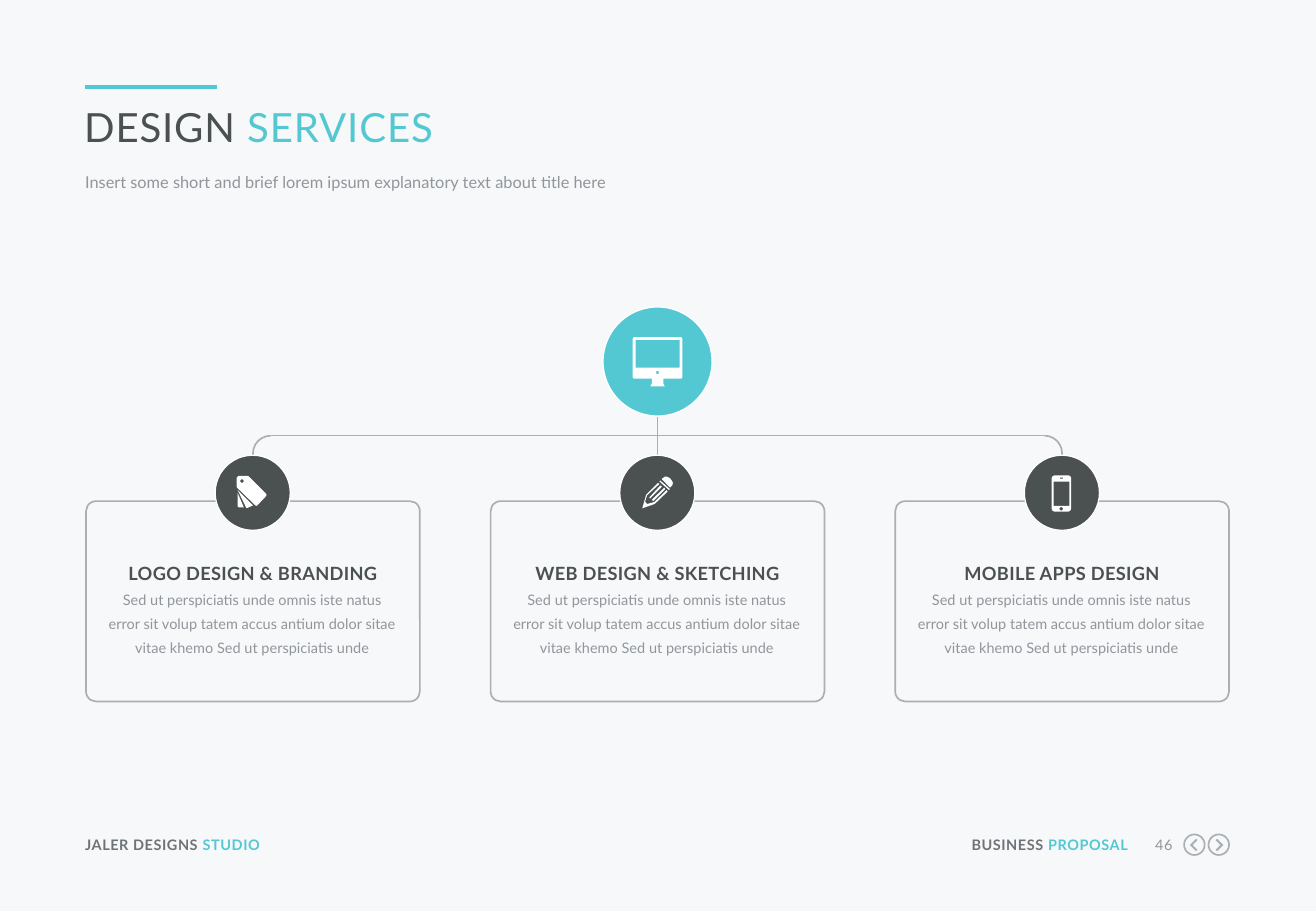
from math import cos, pi, sin

from lxml import etree
from pptx import Presentation
from pptx.dml.color import RGBColor
from pptx.enum.shapes import MSO_CONNECTOR, MSO_SHAPE
from pptx.enum.text import MSO_ANCHOR, MSO_AUTO_SIZE, PP_ALIGN
from pptx.oxml.ns import qn
from pptx.util import Cm, Pt

STRAIGHT = MSO_CONNECTOR.STRAIGHT
ARC, OVAL, ROUNDED = MSO_SHAPE.ARC, MSO_SHAPE.OVAL, MSO_SHAPE.ROUNDED_RECTANGLE
LEFT, CENTER, RIGHT = PP_ALIGN.LEFT, PP_ALIGN.CENTER, PP_ALIGN.RIGHT
TOP, NO_RESIZE = MSO_ANCHOR.TOP, MSO_AUTO_SIZE.NONE

TEAL, DARK, WHITE, PAPER = "53C8D2", "4B5050", "FFFFFF", "F6F8FA"
RULE, BODY, FOOTER = "AAAFB4", "91969B", "6E7378"
MIDDLE, MARGIN, PITCH = 13.75, 1.78, 8.46
CARD_WIDTH, CARD_TOP = 6.98, 10.48
RAIL_TOP, ARC_SIZE = 9.11, 0.74


def paint(shape, fill=None, line=None, width=1):
    """Set fill and line from hex colours, None for neither, and drop the shadow."""
    if line:
        shape.line.color.rgb = RGBColor.from_string(line)
        shape.line.width = Pt(width)
    else:
        shape.line.fill.background()
    if hasattr(shape, "fill"):
        shape.shadow.inherit = False
        if fill:
            shape.fill.solid()
            shape.fill.fore_color.rgb = RGBColor.from_string(fill)
        else:
            shape.fill.background()
    else:
        etree.SubElement(shape._element.spPr, qn("a:effectLst"))


def write(box, spans, size, bold=False, spacing=0, **para_format):
    """Fill a box with one paragraph of (text, hex colour) spans."""
    frame_format = {"margin_left": 0, "margin_top": 0, "margin_right": 0,
                    "margin_bottom": 0, "word_wrap": True,
                    "auto_size": NO_RESIZE, "vertical_anchor": TOP}
    for name, value in frame_format.items():
        setattr(box.text_frame, name, value)
    para = box.text_frame.paragraphs[0]
    for name, value in para_format.items():
        setattr(para, name, value)
    for text, colour in spans:
        span = para.add_run()
        span.text = text
        for name, value in {"name": "Lato", "size": Pt(size), "bold": bold}.items():
            setattr(span.font, name, value)
        span.font.color.rgb = RGBColor.from_string(colour)
        span._r.get_or_add_rPr().set("spc", str(round(spacing * 100)))


deck = Presentation()
deck.slide_width, deck.slide_height = Pt(780), Pt(540)
page = deck.slides.add_slide(deck.slide_layouts[5])
page.background.fill.solid()
page.background.fill.fore_color.rgb = RGBColor.from_string(PAPER)
shapes = page.shapes

# Heading
title = shapes.title
title_place = {"left": MARGIN - 0.02, "top": 2.13, "width": 23.93, "height": 1.04}
for name, value in title_place.items():
    setattr(title, name, Cm(value))
write(title, [("DESIGN", DARK), (" SERVICES", TEAL)], 23.8, spacing=0.55, alignment=LEFT)
subtitle = shapes.add_textbox(Cm(MARGIN), Cm(3.55), Cm(23.93), Cm(0.53))
write(subtitle,
      [("Insert some short and brief lorem ipsum explanatory text about title here", BODY)],
      9.7, line_spacing=Pt(13))

# Title rule, tree rail and its drops
lines = [
    (MARGIN, 1.82, 4.54, 1.82, TEAL, 2.25),
    (MIDDLE, 8.72, MIDDLE, 9.53, RULE, 1),
]
for side, turn in ((-1, 270), (1, 0)):
    end = MIDDLE + side * PITCH
    bend = end - side * ARC_SIZE / 2
    lines.append((MIDDLE, RAIL_TOP, bend, RAIL_TOP, RULE, 1))
    lines.append((end, RAIL_TOP + ARC_SIZE / 2, end, 9.63, RULE, 1))
    corner = shapes.add_shape(ARC, Cm(bend - ARC_SIZE / 2), Cm(RAIL_TOP),
                              Cm(ARC_SIZE), Cm(ARC_SIZE))
    corner.rotation = turn
    paint(corner, line=RULE)
for x1, y1, x2, y2, colour, width in lines:
    connector = shapes.add_connector(STRAIGHT, Cm(x1), Cm(y1), Cm(x2), Cm(y2))
    paint(connector, line=colour, width=width)

# Service cards
description = ("Sed ut perspiciatis unde omnis iste natus error sit volup tatem accus "
               "antium dolor sitae vitae khemo Sed ut perspiciatis unde")
services = ["LOGO DESIGN & BRANDING", "WEB DESIGN & SKETCHING", "MOBILE APPS DESIGN"]
for index, service in enumerate(services):
    center = MIDDLE + (index - 1) * PITCH
    card = shapes.add_shape(ROUNDED, Cm(center - CARD_WIDTH / 2), Cm(CARD_TOP),
                            Cm(CARD_WIDTH), Cm(4.19))
    card.adjustments[0] = 0.05
    paint(card, line=RULE)
    heading = shapes.add_textbox(Cm(center - 3.06), Cm(11.56), Cm(6.12), Cm(0.64))
    write(heading, [(service, DARK)], 10.8, bold=True, spacing=0.2,
          alignment=CENTER, line_spacing=Pt(18.4))
    details = shapes.add_textbox(Cm(center - 3.06), Cm(12.23), Cm(6.1), Cm(1.5))
    write(details, [(description, BODY)], 8.6, alignment=CENTER, line_spacing=Pt(14.1))

# Footer
footers = [
    (MARGIN, 5.36, LEFT, True, [("JALER DESIGNS ", FOOTER), ("STUDIO", TEAL)]),
    (20.11, 3.48, RIGHT, True, [("BUSINESS ", FOOTER), ("PROPOSAL", TEAL)]),
    (23.88, 0.64, RIGHT, False, [("46", BODY)]),
]
for left, width, alignment, bold, spans in footers:
    footer = shapes.add_textbox(Cm(left), Cm(17.49), Cm(width), Cm(0.38))
    write(footer, spans, 8.6, bold=bold, spacing=0.3, alignment=alignment)

# Discs: left, top, diameter, fill, line, line width
discs = [(MIDDLE - 1.14, 6.42, 2.28, TEAL, WHITE, 0.75)]
discs += [(MIDDLE + step * PITCH - 0.79, 9.52, 1.57, DARK, WHITE, 0.75)
          for step in (-1, 0, 1)]
discs += [(left, 17.45, 0.43, None, RULE, 1) for left in (24.76, 25.27)]
for left, top, size, fill, line, width in discs:
    disc = shapes.add_shape(OVAL, Cm(left), Cm(top), Cm(size), Cm(size))
    paint(disc, fill, line, width)

# Icons: contours in tenths of a millimetre, dots as (x, y, radius)
monitor = [
    [(0, 4), (1, 1), (4, 0), (100, 0), (103, 1), (104, 4), (104, 83), (103, 86),
     (100, 87), (64, 87), (64, 97), (67, 103), (37, 103), (40, 97), (40, 87),
     (4, 87), (1, 86), (0, 83)],
    [(6, 6), (98, 6), (98, 64), (6, 64)],
]
tags = [
    [(0, 23), (0, 4), (4, 0), (23, 0), (26, 2), (62, 38), (62, 42), (42, 63),
     (39, 62), (1, 25)],
    [(2, 30), (34, 62), (23, 67), (20, 67)],
    [(2, 36), (15, 66), (4, 66), (2, 64)],
]
pencil = [
    [(0, 66), (8, 38), (33, 13), (36, 15), (10, 39), (6, 52), (10, 57), (25, 53),
     (51, 28), (53, 31), (26, 57)],
    [(15, 43), (38, 18), (41, 21), (16, 46)],
    [(20, 48), (46, 23), (48, 26), (23, 51)],
    [(36, 10), (38, 8), (58, 26), (56, 28)],
    [(41, 5), (43, 3), (47, 0), (52, 0), (58, 3), (61, 7), (64, 12), (63, 18), (58, 23)],
]
phone = [
    [(0, 6), (2, 2), (6, 0), (35, 0), (39, 2), (41, 6), (41, 70), (39, 74),
     (35, 76), (6, 76), (2, 74), (0, 70)],
    [(4, 13), (37, 13), (37, 64), (4, 64)],
    [(17, 5), (24, 5), (24, 7), (17, 7)],
]
forward = [[(0, 3), (3, 0), (16, 13), (3, 26), (0, 23), (10, 13)]]
back = [[(16 - x, y) for x, y in forward[0]]]
icons = [
    (13.23, 7.05, WHITE, monitor, [(52, 74, 3)]),
    (4.95, 9.95, WHITE, tags, [(11, 11, 4)]),
    (13.43, 9.97, WHITE, pencil, []),
    (21.99, 9.94, WHITE, phone, [(20, 70, 4)]),
    (24.88, 17.54, RULE, back, []),
    (25.42, 17.54, RULE, forward, []),
]
for left, top, colour, contours, dots in icons:
    rounds = [[(x + radius * cos(step * pi / 6), y + radius * sin(step * pi / 6))
               for step in range(12)] for x, y, radius in dots]
    builder = shapes.build_freeform(*contours[0][0], scale=Cm(0.01))
    builder.add_line_segments(contours[0][1:])
    for contour in contours[1:] + rounds:
        builder.move_to(*contour[0])
        builder.add_line_segments(contour[1:])
    paint(builder.convert_to_shape(Cm(left), Cm(top)), colour)

deck.save("out.pptx")
